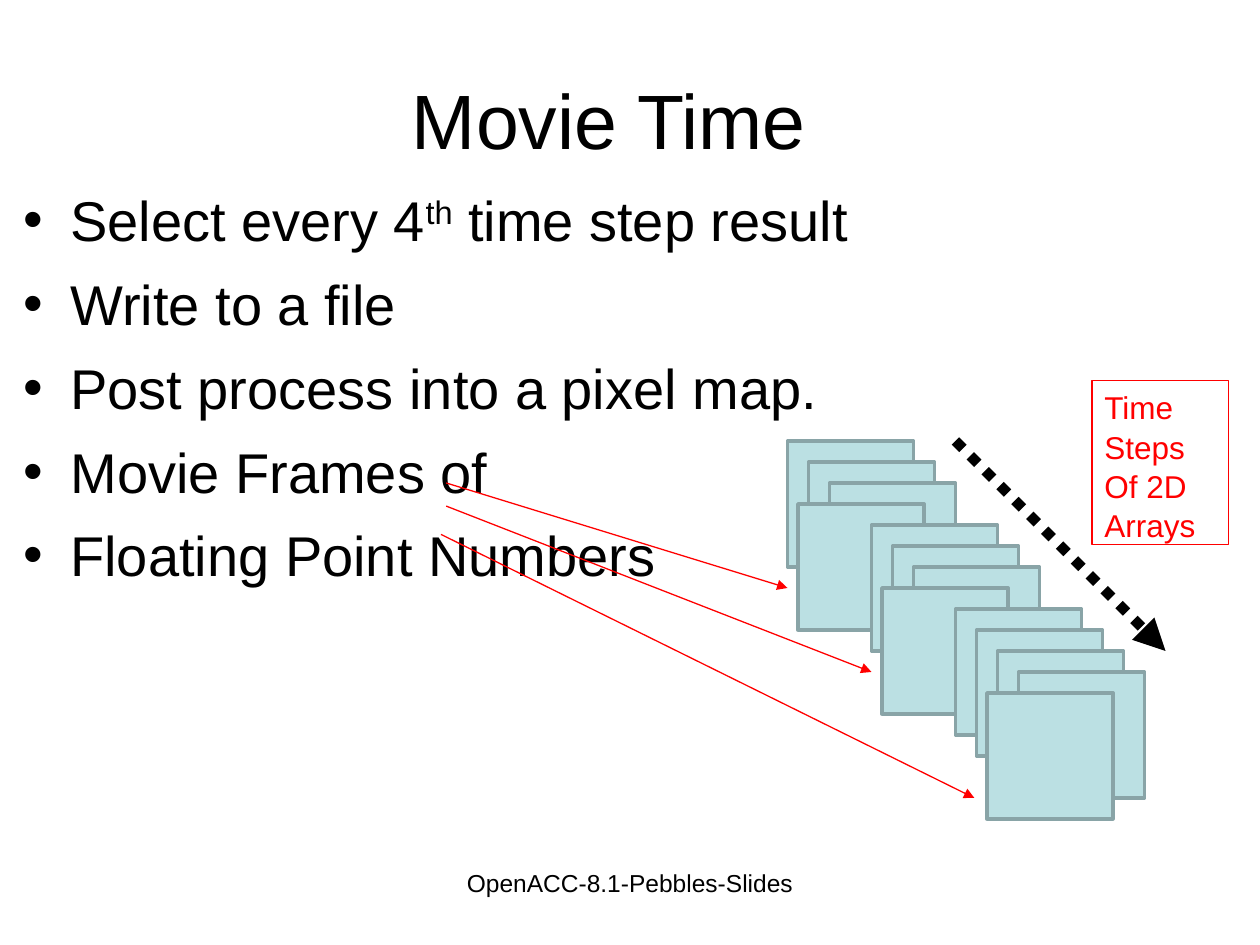
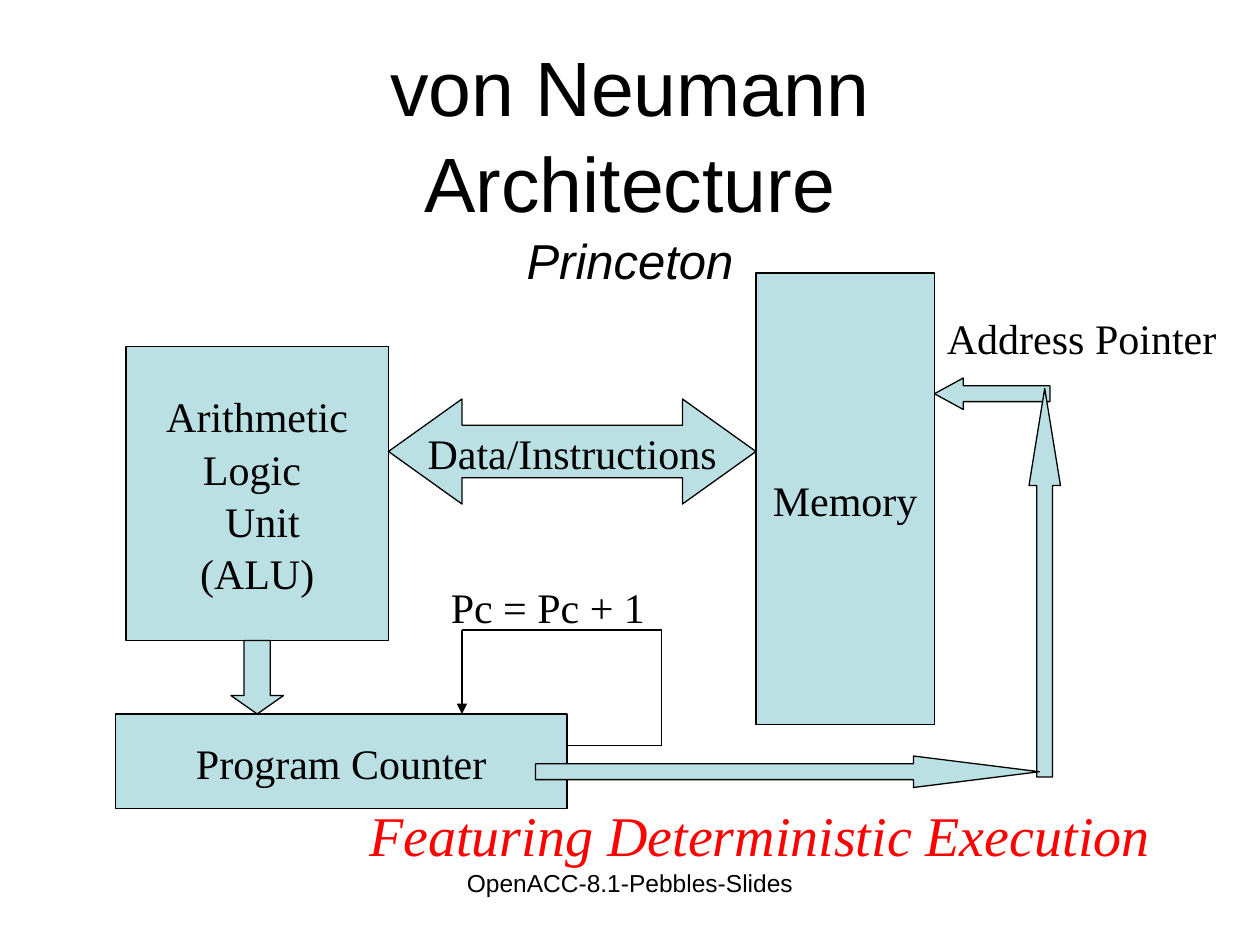
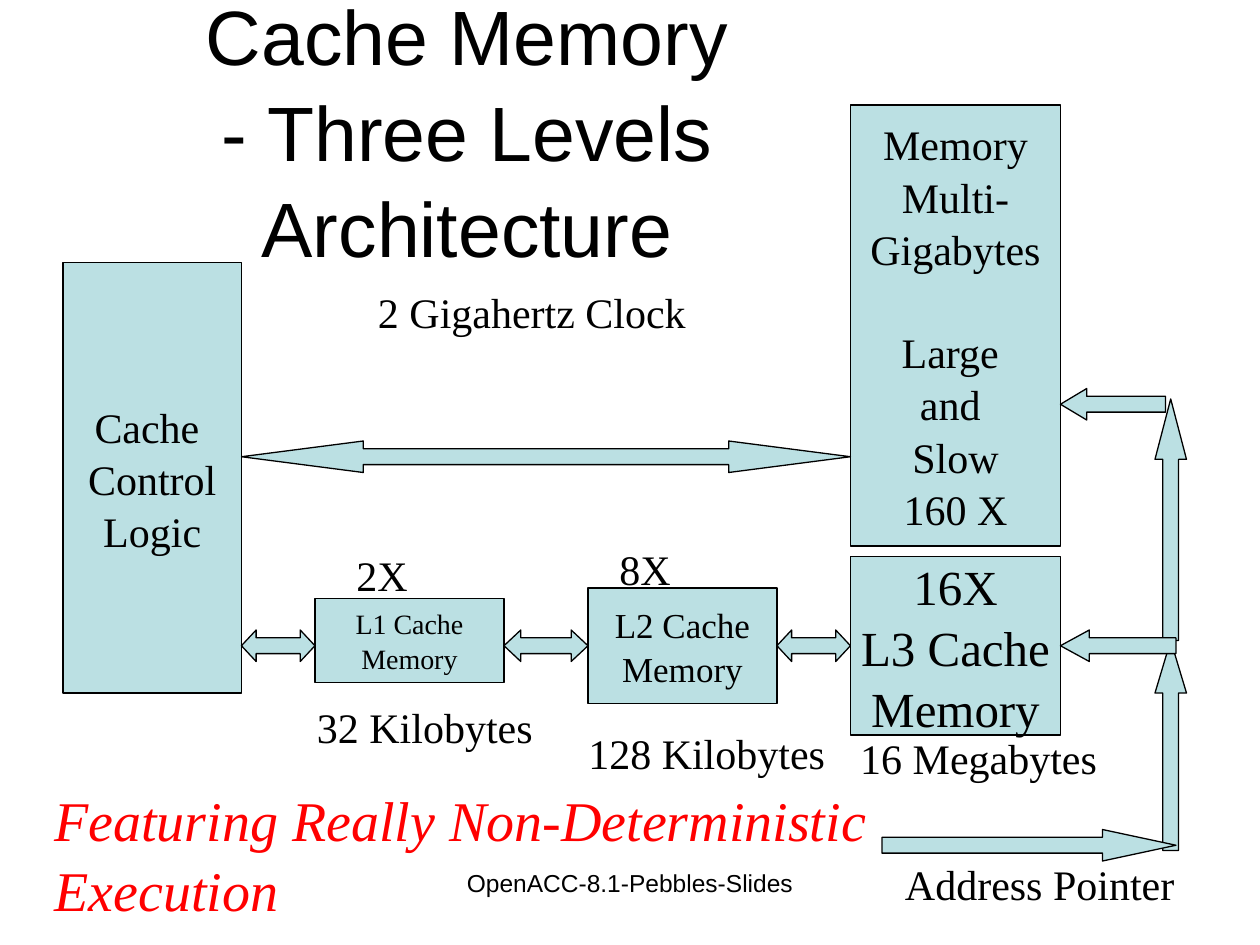
"""Build three lecture slides: movie frames, von Neumann machine, cache levels."""
from dataclasses import dataclass, replace
from itertools import pairwise
from typing import NamedTuple

from pptx import Presentation
from pptx.dml.color import RGBColor
from pptx.enum.dml import MSO_LINE
from pptx.enum.shapes import MSO_CONNECTOR, MSO_SHAPE
from pptx.enum.text import MSO_ANCHOR, MSO_AUTO_SIZE, PP_ALIGN
from pptx.oxml.ns import qn
from pptx.oxml.xmlchemy import OxmlElement
from pptx.util import Inches, Pt

BLACK = RGBColor(0x00, 0x00, 0x00)
RED = RGBColor(0xFF, 0x00, 0x00)
PALE_TEAL = RGBColor(0xBB, 0xE0, 0xE3)
DARK_TEAL = RGBColor(0x89, 0xA4, 0xA7)

RECTANGLE = MSO_SHAPE.RECTANGLE
UP = MSO_SHAPE.UP_ARROW
DOWN = MSO_SHAPE.DOWN_ARROW
LEFT = MSO_SHAPE.LEFT_ARROW
RIGHT = MSO_SHAPE.RIGHT_ARROW
BOTH_WAYS = MSO_SHAPE.LEFT_RIGHT_ARROW
STRAIGHT = MSO_CONNECTOR.STRAIGHT
DOTTED = MSO_LINE.ROUND_DOT
MIDDLE = MSO_ANCHOR.MIDDLE
NO_AUTOFIT = MSO_AUTO_SIZE.NONE
ALIGN_LEFT = PP_ALIGN.LEFT
ALIGN_CENTER = PP_ALIGN.CENTER

SLIDE_WIDTH = Inches(10)
SLIDE_HEIGHT = Inches(7.5)
COLUMNS, ROWS = 120, 90
LINE_SPACING = 1.04
LINE_HEIGHT = 1.2
CONTENT_LAYOUT, TITLE_LAYOUT = 1, 5


class Area(NamedTuple):
    """A place on the grid, in columns and rows."""
    column: float
    row: float
    columns: float
    rows: float

    def lengths(self) -> tuple[int, int, int, int]:
        """Return left, top, width and height."""
        return (across(self.column), down(self.row),
                across(self.columns), down(self.rows))


class Point(NamedTuple):
    """A grid point."""
    column: float
    row: float


class Style(NamedTuple):
    """The look of a text."""
    font: str
    size: float
    color: RGBColor = BLACK
    italic: bool = False
    align: PP_ALIGN = ALIGN_LEFT


class Span(NamedTuple):
    """A run of text with its own style."""
    text: str
    style: Style
    superscript: bool = False


@dataclass(frozen=True)
class Block:
    """A filled rectangle or arrow, with or without words."""
    area: Area
    kind: MSO_SHAPE = RECTANGLE
    text: str = ""
    size: float = 24
    border: RGBColor = BLACK
    border_width: float = 0.75


@dataclass(frozen=True)
class Label:
    """Free text, perhaps framed or indented."""
    text: str
    area: Area
    style: Style = Style("Times New Roman", 24)
    indent: float = 0
    border: RGBColor | None = None


@dataclass(frozen=True)
class Link:
    """A straight line that may end in an arrowhead."""
    start: Point
    end: Point
    color: RGBColor = BLACK
    width: float = 0.75
    arrow: bool = True
    dotted: bool = False


TITLE = Style("Arial", 44, align=ALIGN_CENTER)
SUBTITLE = TITLE._replace(size=28, italic=True)
BULLET = Style("Arial", 32)
DIAGRAM = Style("Times New Roman", 24, align=ALIGN_CENTER)
FEATURE = Style("Times New Roman", 32, RED, True)
FOOTER = Label("OpenACC-8.1-Pebbles-Slides", Area(41, 82, 38, 6.25),
               Style("Arial", 14, align=ALIGN_CENTER))


def across(columns: float) -> int:
    """Turn columns into a length."""
    return round(SLIDE_WIDTH * columns / COLUMNS)


def down(rows: float) -> int:
    """Turn rows into a length."""
    return round(SLIDE_HEIGHT * rows / ROWS)


def add_span(paragraph, span: Span) -> None:
    """Add one styled run, with line breaks where the text has them."""
    for index, part in enumerate(span.text.split("\n")):
        if index:
            paragraph.add_line_break()
        if not part:
            continue
        run = paragraph.add_run()
        run.text = part
        run.font.name = span.style.font
        run.font.size = Pt(span.style.size)
        run.font.italic = span.style.italic
        run.font.color.rgb = span.style.color
        if span.superscript:
            run.font._element.set("baseline", "30000")


def next_paragraph(frame, index: int, align: PP_ALIGN):
    """Return the first paragraph, or a new one after it."""
    paragraph = frame.add_paragraph() if index else frame.paragraphs[0]
    paragraph.alignment = align
    paragraph.line_spacing = LINE_SPACING
    return paragraph


def write_lines(frame, text: str, style: Style) -> None:
    """Write a paragraph per line; an empty line becomes space before the next."""
    gap = 0.0
    for index, line in enumerate(text.split("\n")):
        if not line:
            gap += style.size * LINE_HEIGHT
            continue
        paragraph = next_paragraph(frame, index, style.align)
        if gap:
            paragraph.space_before = Pt(gap)
            gap = 0.0
        add_span(paragraph, Span(line, style))


def place(shape, area: Area) -> None:
    """Move a placeholder to its area and stop it shrinking text."""
    shape.left, shape.top, shape.width, shape.height = area.lengths()
    shape.text_frame.auto_size = NO_AUTOFIT


def add_block(slide, block: Block) -> None:
    """Draw a block; an arrowhead takes a fixed share of the arrow's length."""
    shape = slide.shapes.add_shape(block.kind, *block.area.lengths())
    shape.shadow.inherit = False
    shape.fill.solid()
    shape.fill.fore_color.rgb = PALE_TEAL
    shape.line.color.rgb = block.border
    shape.line.width = Pt(block.border_width)
    if block.kind != RECTANGLE:
        thickness, length = sorted(block.area[2:])
        head_share = 0.2 if block.kind == BOTH_WAYS else 0.25
        shape.adjustments[0] = 0.5
        shape.adjustments[1] = head_share * length / thickness
    if block.text:
        frame = shape.text_frame
        frame.word_wrap = False
        frame.vertical_anchor = MIDDLE
        write_lines(frame, block.text, DIAGRAM._replace(size=block.size))


def add_label(slide, label: Label) -> None:
    """Draw free text, with its frame if it has one."""
    box = slide.shapes.add_textbox(*label.area.lengths())
    frame = box.text_frame
    frame.word_wrap = True
    if label.style.align == ALIGN_LEFT:
        frame.margin_right = 0
    if label.indent:
        frame.margin_left += across(label.indent)
    if label.border is not None:
        box.line.color.rgb = label.border
        box.line.width = Pt(0.75)
    write_lines(frame, label.text, label.style)


def add_link(slide, link: Link) -> None:
    """Draw a straight line."""
    connector = slide.shapes.add_connector(
        STRAIGHT, across(link.start.column), down(link.start.row),
        across(link.end.column), down(link.end.row))
    connector.line.color.rgb = link.color
    connector.line.width = Pt(link.width)
    if link.dotted:
        connector.line.dash_style = DOTTED
    properties = connector._element.spPr
    if link.arrow:
        head = OxmlElement("a:tailEnd")
        head.set("type", "triangle")
        properties.find(qn("a:ln")).append(head)
    properties.append(OxmlElement("a:effectLst"))


def add_slide(deck, layout: int, area: Area, *title: Span):
    """Add a slide with its title and the shared footer."""
    slide = deck.slides.add_slide(deck.slide_layouts[layout])
    heading = slide.shapes.title
    place(heading, area)
    heading.text_frame.vertical_anchor = MIDDLE
    paragraph = next_paragraph(heading.text_frame, 0, TITLE.align)
    for span in title:
        add_span(paragraph, span)
    add_label(slide, FOOTER)
    return slide


def add_bullets(slide, area: Area, bullets: list[list[Span]]) -> None:
    """Fill the body placeholder with bulleted paragraphs."""
    body = slide.placeholders[1]
    place(body, area)
    for index, spans in enumerate(bullets):
        paragraph = next_paragraph(body.text_frame, index, ALIGN_LEFT)
        paragraph.space_before = Pt(8 if index else 0)
        for span in spans:
            add_span(paragraph, span)


def build_movie(deck) -> None:
    """Show the time steps and the frames picked for the movie."""
    slide = add_slide(deck, CONTENT_LAYOUT, Area(4, 3.6, 108, 15),
                      Span("Movie Time", TITLE))
    picked = (3, 7, 12)
    for step in range(13):
        column = 75 + 2 * step - (5 if step in picked else 0)
        add_block(slide, Block(Area(column, 42 + 2 * step, 12, 12),
                               border=DARK_TEAL, border_width=2))
    add_bullets(slide, Area(1, 16.8, 108, 59.4), [
        [Span("Select every 4", BULLET), Span("th", BULLET, True),
         Span(" time step result", BULLET)],
        [Span("Write to a file", BULLET)],
        [Span("Post process into a pixel map.", BULLET)],
        [Span("Movie Frames of", BULLET)],
        [Span("Floating Point Numbers", BULLET)],
    ])
    add_label(slide, Label("Time\nSteps\nOf 2D\nArrays", Area(104, 36.25, 13, 15.6),
                           Style("Arial", 18, RED), border=RED))
    add_link(slide, Link(Point(91, 42), Point(111, 62), width=6, dotted=True))
    for start, end in ((Point(42.5, 46), Point(75, 56)),
                       (Point(42.5, 48.2), Point(83, 64)),
                       (Point(42, 50.9), Point(92.8, 76))):
        add_link(slide, Link(start, end, RED))


def build_von_neumann(deck) -> None:
    """Show the processor, memory and program counter."""
    slide = add_slide(deck, TITLE_LAYOUT, Area(9, 3.25, 102, 24.4),
                      Span("von Neumann\nArchitecture\n", TITLE),
                      Span("Princeton", SUBTITLE))
    for block in (
        Block(Area(89, 36, 11, 3), LEFT),
        Block(Area(12, 33, 25, 28), text="Arithmetic\nLogic \n Unit\n(ALU)"),
        Block(Area(72, 26, 17, 43), text="Memory"),
        Block(Area(11, 68, 43, 9), text="Program Counter"),
        Block(Area(37, 38, 35, 10), BOTH_WAYS, "Data/Instructions"),
        Block(Area(98, 37, 3, 37), UP),
        Block(Area(51, 72, 48, 3), RIGHT),
        Block(Area(22, 61, 5, 7), DOWN),
    ):
        add_block(slide, block)
    loop = [Point(54, 71), Point(63, 71), Point(63, 60), Point(44, 60), Point(44, 68)]
    for start, end in pairwise(loop):
        side = Link(start, end, arrow=False)
        add_link(slide, replace(side, arrow=end == loop[-1]))
    for label in (
        Label("Address Pointer", Area(89, 29, 28, 6)),
        Label("Pc = Pc + 1", Area(41.75, 54.6, 21, 6)),
        Label("Featuring Deterministic Execution", Area(34, 75.4, 86, 7.7), FEATURE),
    ):
        add_label(slide, label)


def build_cache(deck) -> None:
    """Show three cache levels between control logic and memory."""
    slide = add_slide(deck, TITLE_LAYOUT, Area(9, -1.5, 71, 27.6),
                      Span("Cache Memory\n- Three Levels\nArchitecture", TITLE))
    main_memory = "Memory\nMulti-\nGigabytes\n\nLarge \nand \nSlow\n160 X"
    for block in (
        Block(Area(81, 10, 20, 42), text=main_memory),
        Block(Area(110, 61, 3, 20), UP),
        Block(Area(84, 79, 28, 3), RIGHT),
        Block(Area(81, 53, 20, 17), text="16X\nL3 Cache\nMemory", size=28),
        Block(Area(110, 38, 3, 23), UP),
        Block(Area(6, 25, 17, 41), text="Cache \nControl\nLogic"),
        Block(Area(101, 37, 10, 3), LEFT),
        Block(Area(101, 60, 11, 3), LEFT),
        Block(Area(23, 42, 58, 3), BOTH_WAYS),
        Block(Area(56, 56, 18, 11), text="L2 Cache\nMemory", size=20),
        Block(Area(30, 57, 18, 8), text="L1 Cache\nMemory", size=16),
    ):
        add_block(slide, block)
    for start, end in ((23, 30), (48, 56), (74, 81)):
        add_block(slide, Block(Area(start, 60, end - start, 3), BOTH_WAYS))
    for label in (
        Label("Address Pointer", Area(85, 81, 28, 6)),
        Label("2X", Area(32.75, 51.6, 7.3, 6)),
        Label("8X", Area(57.8, 51, 7.3, 6)),
        Label("16 Megabytes", Area(80.75, 69, 25, 6)),
        Label("128 Kilobytes", Area(54.85, 68.5, 25, 6)),
        Label("32 Kilobytes", Area(29, 66, 23, 6)),
        Label("2 Gigahertz Clock", Area(25.8, 26.5, 48.7, 6), indent=9),
        Label("Featuring Really Non-Deterministic Execution",
              Area(4, 74, 86, 14), FEATURE),
    ):
        add_label(slide, label)


def main() -> None:
    """Build and save the slides."""
    deck = Presentation()
    deck.slide_width = SLIDE_WIDTH
    deck.slide_height = SLIDE_HEIGHT
    for build in (build_movie, build_von_neumann, build_cache):
        build(deck)
    deck.save("out.pptx")


if __name__ == "__main__":
    main()
